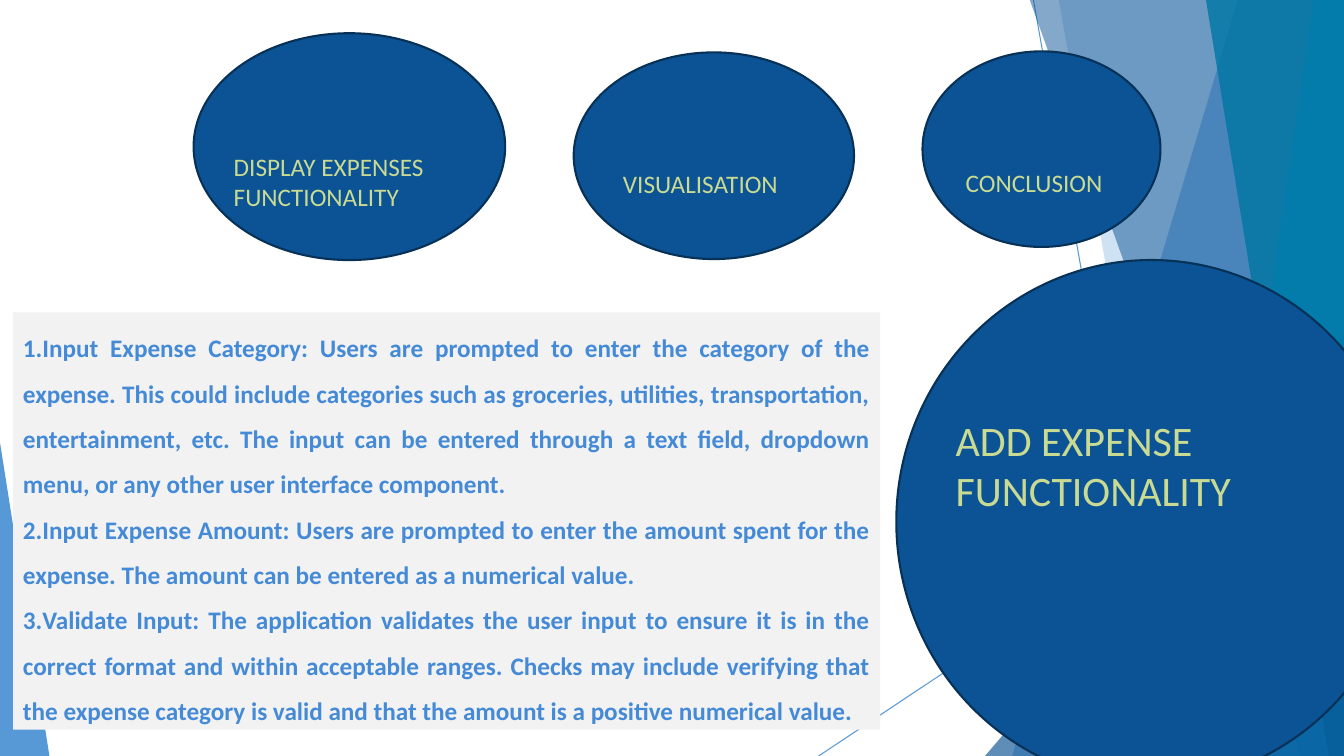
"""Build the expense tracker slide on adding an expense."""
from dataclasses import dataclass

from lxml import etree
from pptx import Presentation
from pptx import util as u
from pptx.dml.color import RGBColor
from pptx.enum import shapes, text
from pptx.oxml.ns import qn

WIDTH, HEIGHT = 13.33, 7.5


@dataclass(frozen=True)
class Theme:
    font: str = "Calibri"
    blue: str = "0F6FC6"
    navy: str = "0B5394"
    outline: str = "073157"
    sky: str = "009DD9"
    teal: str = "0076A3"
    label: str = "C9DA92"
    panel: str = "F2F2F2"
    body: str = "448AD7"
    title_size: int = 30
    text_size: int = 18


@dataclass(frozen=True)
class Box:
    left: float
    top: float
    width: float
    height: float

    def emu(self) -> list[int]:
        return [u.Inches(v) for v in (self.left, self.top, self.width, self.height)]


@dataclass(frozen=True)
class Ray:
    start: tuple[float, float]
    end: tuple[float, float]


@dataclass(frozen=True)
class Band:
    top_x: float
    bottom_x: float
    color: str
    alpha: int


@dataclass(frozen=True)
class Wedge:
    box: Box
    apex: int
    color: str
    alpha: int


@dataclass(frozen=True)
class Label:
    box: Box
    lines: tuple[str, ...]
    size: int


T = Theme()
BACKDROP = (
    Ray((10.25, 0), (11.58, HEIGHT)),
    Ray((WIDTH, 4.03), (8.12, HEIGHT)),
    Band(12.28, 10.04, T.blue, 36),
    Band(10.5, 11.83, T.blue, 20),
    Wedge(Box(9.77, 3.33, 3.56, 4.17), 1, T.navy, 66),
    Band(10.21, 12.91, T.navy, 50),
    Band(13.03, 11.92, T.sky, 70),
    Band(11.96, 13.18, T.teal, 80),
    Wedge(Box(11.34, 3.93, 1.99, 3.57), 1, T.navy, 66),
    Wedge(Box(0, 4.39, 0.49, 3.11), 0, T.blue, 70),
)
ELLIPSES = (
    Box(9.15, 0.51, 2.36, 1.94),
    Box(5.69, 0.52, 2.78, 2.05),
    Box(1.92, 0.33, 3.09, 2.25),
    Box(8.89, 2.58, 5.06, 5.19),
)
LABELS = (
    Label(Box(9.38, 4.06, 14.92, 1.11), ("ADD EXPENSE", "FUNCTIONALITY"), T.title_size),
    Label(Box(2.22, 1.45, 10.47, 0.71), ("DISPLAY EXPENSES", "FUNCTIONALITY"), T.text_size),
    Label(Box(6.08, 1.62, 9.68, 0.4), ("VISUALISATION",), T.text_size),
    Label(Box(9.48, 1.61, 9.68, 0.4), ("CONCLUSION",), T.text_size),
)
PANEL = Box(0.13, 3.1, 8.6, 4.14)
STEPS = (
    "Input Expense Category: Users are prompted to enter the category of the expense. "
    "This could include categories such as groceries, utilities, transportation, "
    "entertainment, etc. The input can be entered through a text field, dropdown menu, "
    "or any other user interface component.",
    "Input Expense Amount: Users are prompted to enter the amount spent for the expense. "
    "The amount can be entered as a numerical value.",
    "Validate Input: The application validates the user input to ensure it is in the "
    "correct format and within acceptable ranges. Checks may include verifying that the "
    "expense category is valid and that the amount is a positive numerical value.",
)


def set_alpha(sp, alpha: int) -> None:
    for color in sp.element.spPr.iter(qn("a:srgbClr")):
        etree.SubElement(color, qn("a:alpha"), val=str(alpha * 1000))


def paint(sp, color: str) -> None:
    sp.element.remove(sp.element.find(qn("p:style")))
    sp.shadow.inherit = False
    sp.fill.solid()
    sp.fill.fore_color.rgb = RGBColor.from_string(color)
    sp.line.fill.background()


def draw_ray(s, ray: Ray) -> None:
    points = [u.Inches(v) for v in (*ray.start, *ray.end)]
    sp = s.shapes.add_connector(shapes.MSO_CONNECTOR.STRAIGHT, *points)
    sp.line.color.rgb = RGBColor.from_string(T.blue)
    sp.line.width = u.Pt(0.75)
    set_alpha(sp, 70)
    etree.SubElement(sp.element.spPr, qn("a:effectLst"))


def draw_band(s, band: Band) -> None:
    corners = ((WIDTH, -0.01), (WIDTH, HEIGHT), (band.bottom_x, HEIGHT))
    builder = s.shapes.build_freeform(u.Inches(band.top_x), u.Inches(-0.01))
    builder.add_line_segments([(u.Inches(x), u.Inches(y)) for x, y in corners])
    sp = builder.convert_to_shape()
    paint(sp, band.color)
    set_alpha(sp, band.alpha)


def draw_wedge(s, wedge: Wedge) -> None:
    sp = s.shapes.add_shape(shapes.MSO_SHAPE.ISOSCELES_TRIANGLE, *wedge.box.emu())
    sp.adjustments[0] = wedge.apex
    paint(sp, wedge.color)
    set_alpha(sp, wedge.alpha)


def draw_ellipse(s, box: Box) -> None:
    sp = s.shapes.add_shape(shapes.MSO_SHAPE.OVAL, *box.emu())
    paint(sp, T.navy)
    sp.line.color.rgb = RGBColor.from_string(T.outline)
    sp.line.width = u.Pt(1.5)


def write(tf, lines: tuple[str, ...], size: int, color: str, bold: bool = False) -> None:
    tf.word_wrap = True
    tf.vertical_anchor = text.MSO_ANCHOR.TOP
    tf.text = "\n".join(lines)
    for p in tf.paragraphs:
        p.alignment = text.PP_ALIGN.LEFT
        p.font.name = T.font
        p.font.size = u.Pt(size)
        p.font.bold = bold
        p.font.color.rgb = RGBColor.from_string(color)


def draw_label(s, label: Label) -> None:
    tf = s.shapes.add_textbox(*label.box.emu()).text_frame
    write(tf, label.lines, label.size, T.label)


def draw_steps(s) -> None:
    sp = s.shapes.add_shape(shapes.MSO_SHAPE.RECTANGLE, *PANEL.emu())
    paint(sp, T.panel)
    write(sp.text_frame, STEPS, T.text_size, T.body, bold=True)
    for p in sp.text_frame.paragraphs:
        p.alignment = text.PP_ALIGN.JUSTIFY
        p.line_spacing = 1.5
        props = p.font._element.getparent()
        number = etree.Element(qn("a:buAutoNum"), type="arabicPeriod")
        props.find(qn("a:defRPr")).addprevious(number)


def main() -> None:
    prs = Presentation()
    prs.slide_width, prs.slide_height = u.Inches(WIDTH), u.Inches(HEIGHT)
    s = prs.slides.add_slide(prs.slide_layouts[6])
    draw = {Ray: draw_ray, Band: draw_band, Wedge: draw_wedge}
    for item in BACKDROP:
        draw[type(item)](s, item)
    for box in ELLIPSES:
        draw_ellipse(s, box)
    for label in LABELS:
        draw_label(s, label)
    draw_steps(s)
    prs.save("out.pptx")


if __name__ == "__main__":
    main()
